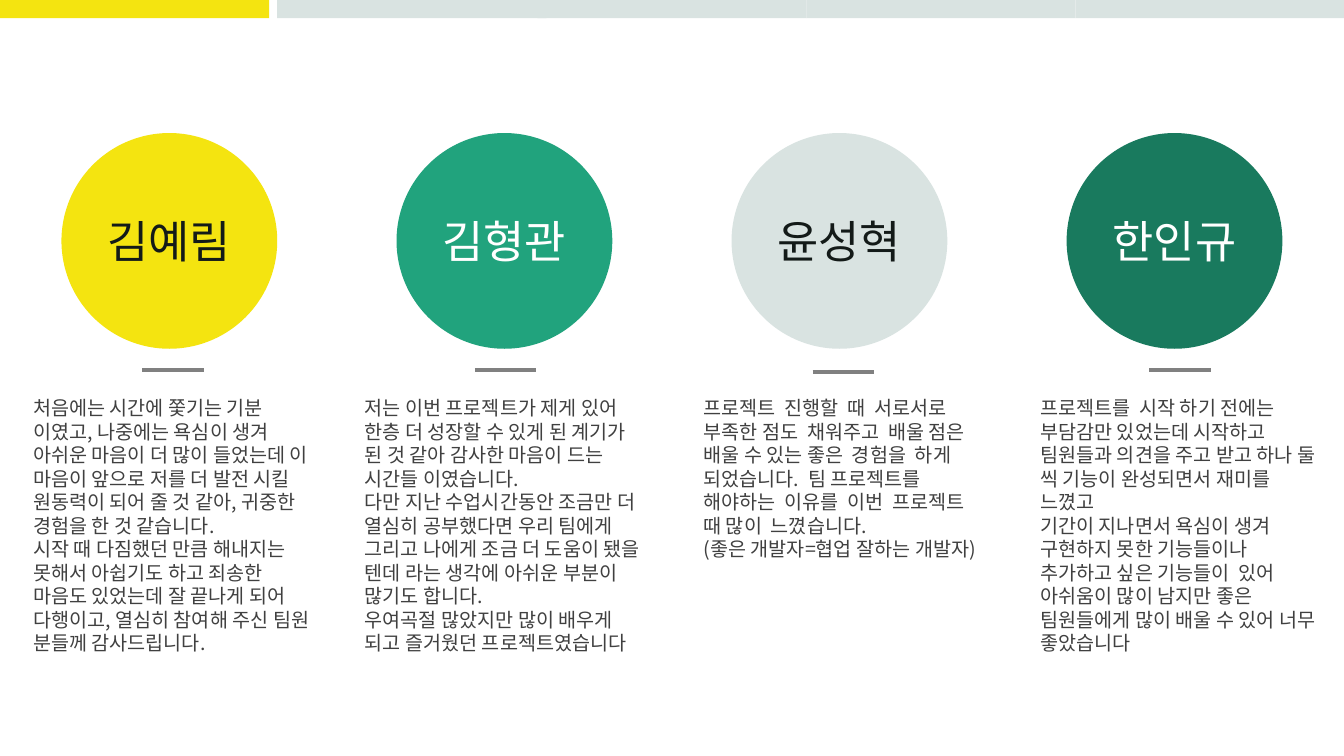
"""Build a slide with four team members and their project reflections."""
from lxml.etree import SubElement
from pptx import Presentation
from pptx.dml.color import RGBColor
from pptx.enum.shapes import MSO_CONNECTOR, MSO_SHAPE
from pptx.enum.text import MSO_ANCHOR, MSO_AUTO_SIZE, PP_ALIGN
from pptx.oxml.ns import qn
from pptx.util import Inches, Pt

FONT = "Noto Sans CJK KR"
COLORS = {
    "yellow": "F4E410", "green": "21A37D", "pale": "D9E3E1", "forest": "197A5E",
    "dark": "131A18", "white": "FFFFFF", "text": "404040", "rule": "808080",
}
BARS = [(0, "yellow"), (2.75, "pale"), (5.33, "pale"), (8, "pale"), (10.67, "pale")]
MEMBERS = [
    {"name": "김예림", "fill": "yellow", "color": "dark",
     "rule": (1.41, 3.67), "left": 0.23, "height": 2.69, "review": [
         "처음에는 시간에 쫓기는 기분 이였고, 나중에는 욕심이 생겨 아쉬운 마음이 더 많이 들었는데 "
         "이 마음이 앞으로 저를 더 발전 시킬 원동력이 되어 줄 것 같아, 귀중한 경험을 한 것 같습니다.",
         "시작 때 다짐했던 만큼 해내지는 못해서 아쉽기도 하고 죄송한 마음도 있었는데 "
         "잘 끝나게 되어 다행이고, 열심히 참여해 주신 팀원 분들께 감사드립니다."]},
    {"name": "김형관", "fill": "green", "color": "white",
     "rule": (4.71, 3.67), "left": 3.52, "height": 2.69, "review": [
         "저는 이번 프로젝트가 제게 있어 한층 더 성장할 수 있게 된 계기가 "
         "된 것 같아 감사한 마음이 드는 시간들 이였습니다.",
         "다만 지난 수업시간동안 조금만 더 열심히 공부했다면 우리 팀에게 그리고 나에게 "
         "조금 더 도움이 됐을 텐데 라는 생각에 아쉬운 부분이 많기도 합니다.",
         "우여곡절 많았지만 많이 배우게 되고 즐거웠던 프로젝트였습니다"]},
    {"name": "윤성혁", "fill": "pale", "color": "dark",
     "rule": (8.06, 3.69), "left": 6.88, "height": 1.75, "review": [
         "프로젝트  진행할  때  서로서로  부족한 점도  채워주고  배울 점은  배울 수 있는 좋은  경험을  "
         "하게 되었습니다.  팀 프로젝트를  해야하는  이유를  이번  프로젝트  때 많이  느꼈습니다.",
         "(좋은 개발자=협업 잘하는 개발자)"]},
    {"name": "한인규", "fill": "forest", "color": "white",
     "rule": (11.4, 3.67), "left": 10.22, "height": 2.22, "review": [
         "프로젝트를  시작 하기 전에는 부담감만 있었는데 시작하고 팀원들과 의견을 주고 받고 "
         "하나 둘 씩 기능이 완성되면서 재미를 느꼈고",
         "기간이 지나면서 욕심이 생겨 구현하지 못한 기능들이나 추가하고 싶은 기능들이  있어 "
         "아쉬움이 많이 남지만 좋은 팀원들에게 많이 배울 수 있어 너무 좋았습니다"]},
]
CIRCLE_LEFT, CIRCLE_TOP, CIRCLE_SIZE, CIRCLE_STEP = 0.61, 1.32, 2.14, 3.323
RULE_WIDTH = 0.61


def rgb(key):
    return RGBColor.from_string(COLORS[key])


def add_filled(slide, kind, left, top, width, height, fill):
    sp = slide.shapes.add_shape(
        kind, Inches(left), Inches(top), Inches(width), Inches(height))
    sp.shadow.inherit = False
    sp.fill.solid()
    sp.fill.fore_color.rgb = rgb(fill)
    sp.line.fill.background()
    return sp


def write(tf, lines, size, color, align):
    tf.word_wrap = True
    tf.text = "\n".join(lines)
    for p in tf.paragraphs:
        p.alignment = align
        for r in p.runs:
            r.font.size = Pt(size)
            r.font.name = FONT
            r.font.color.rgb = rgb(color)
            SubElement(r.font._element, qn("a:ea")).set("typeface", FONT)


def add_rule(slide, left, top):
    line = slide.shapes.add_connector(
        MSO_CONNECTOR.STRAIGHT, Inches(left), Inches(top),
        Inches(left + RULE_WIDTH), Inches(top))
    line.line.color.rgb = rgb("rule")
    line.line.width = Pt(3)
    SubElement(line._element.spPr, qn("a:effectLst"))


def add_member(slide, index, member):
    circle = add_filled(slide, MSO_SHAPE.OVAL, CIRCLE_LEFT + index * CIRCLE_STEP,
                        CIRCLE_TOP, CIRCLE_SIZE, CIRCLE_SIZE, member["fill"])
    circle.text_frame.vertical_anchor = MSO_ANCHOR.MIDDLE
    write(circle.text_frame, [member["name"]], 32, member["color"], PP_ALIGN.CENTER)
    add_rule(slide, *member["rule"])
    box = slide.shapes.add_textbox(Inches(member["left"]), Inches(3.88),
                                   Inches(2.96), Inches(member["height"]))
    write(box.text_frame, member["review"], 14, "text", PP_ALIGN.LEFT)
    box.text_frame.auto_size = MSO_AUTO_SIZE.SHAPE_TO_FIT_TEXT


def main():
    prs = Presentation()
    prs.slide_width, prs.slide_height = Inches(13.33), Inches(7.5)
    slide = prs.slides.add_slide(prs.slide_layouts[6])
    for left, fill in BARS:
        add_filled(slide, MSO_SHAPE.RECTANGLE, left, 0, 2.67, 0.18, fill)
    for index, member in enumerate(MEMBERS):
        add_member(slide, index, member)
    prs.save("out.pptx")


if __name__ == "__main__":
    main()
